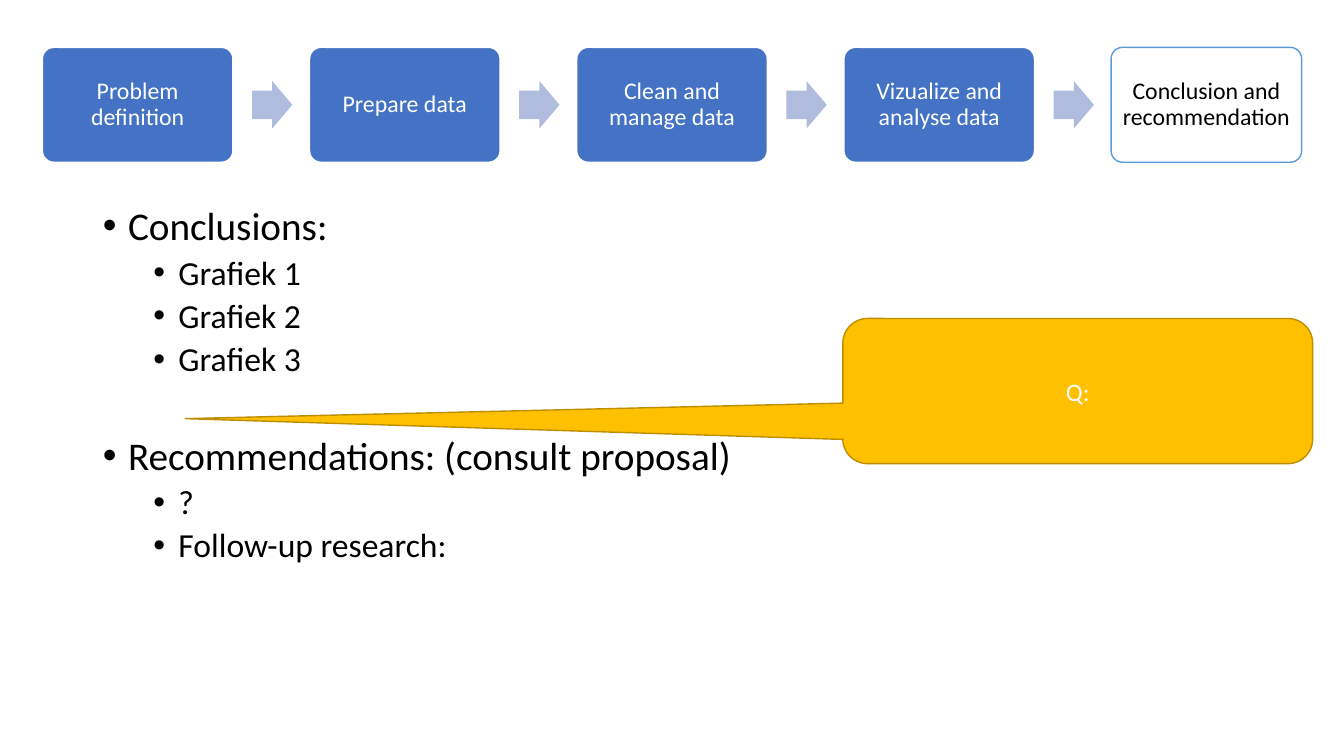
import pptx
import pptx.dml.color
import pptx.enum.shapes
import pptx.enum.text
import pptx.oxml.ns
import pptx.util
import lxml.etree

Inches = pptx.util.Inches
Pt = pptx.util.Pt
RGBColor = pptx.dml.color.RGBColor
SHAPES = pptx.enum.shapes.MSO_SHAPE

WHITE = RGBColor(0xFF, 0xFF, 0xFF)
BLACK = RGBColor(0, 0, 0)
STEP_BLUE = RGBColor(0x44, 0x72, 0xC4)
ARROW_BLUE = RGBColor(0xB0, 0xBC, 0xDE)
OUTLINE_BLUE = RGBColor(0x5B, 0x9B, 0xD5)
GOLD = RGBColor(0xFF, 0xC0, 0x00)
DARK_GOLD = RGBColor(0xBD, 0x8E, 0x00)

STEPS = [
    "Problem definition",
    "Prepare data",
    "Clean and manage data",
    "Vizualize and analyse data",
    "Conclusion and recommendation",
]
STEP_LEFT, STEP_TOP, STEP_WIDTH, STEP_HEIGHT, STEP_PITCH = 0.42, 0.47, 1.89, 1.14, 2.65
ARROW_OFFSET, ARROW_WIDTH, ARROW_HEIGHT = 2.08, 0.4, 0.47

FINDINGS = [
    (0, "Conclusions:", 10),
    (1, "Grafiek 1", 5),
    (1, "Grafiek 2", 5),
    (1, "Grafiek 3", 5),
    (0, "Recommendations: (consult proposal)", 41),
    (1, "?", 5),
    (1, "Follow-up research:", 5),
]


class SlideBuilder:
    font_name = "Calibri"
    line_spacing = 0.9
    level_sizes = (28, 24)
    level_indents = (0.25, 0.75)

    def __init__(self, slide):
        self.slide = slide

    def style(self, paragraph, size, color):
        paragraph.font.name = self.font_name
        paragraph.font.size = Pt(size)
        paragraph.font.color.rgb = color

    def shape(self, kind, box, adjustments, fill, line=None):
        shape = self.slide.shapes.add_shape(kind, *map(Inches, box))
        shape.shadow.inherit = False
        for index, value in enumerate(adjustments):
            shape.adjustments[index] = value
        shape.fill.solid()
        shape.fill.fore_color.rgb = fill
        if line is None:
            shape.line.fill.background()
        else:
            shape.line.color.rgb = line
            shape.line.width = Pt(1)
        return shape

    def label(self, shape, text, size, color, margin=0.1, spacing=1.0):
        frame = shape.text_frame
        frame.word_wrap = True
        frame.vertical_anchor = pptx.enum.text.MSO_ANCHOR.MIDDLE
        frame.margin_left = frame.margin_right = Inches(margin)
        paragraph = frame.paragraphs[0]
        paragraph.text = text
        paragraph.alignment = pptx.enum.text.PP_ALIGN.CENTER
        paragraph.line_spacing = spacing
        self.style(paragraph, size, color)

    def step(self, left, text, fill, line, color):
        box = (left, STEP_TOP, STEP_WIDTH, STEP_HEIGHT)
        shape = self.shape(SHAPES.ROUNDED_RECTANGLE, box, [0.1], fill, line)
        self.label(shape, text, 17, color, 0.07, self.line_spacing)

    def arrow(self, left):
        top = STEP_TOP + (STEP_HEIGHT - ARROW_HEIGHT) / 2
        box = (left, top, ARROW_WIDTH, ARROW_HEIGHT)
        self.shape(SHAPES.RIGHT_ARROW, box, [0.6, 0.5], ARROW_BLUE)

    def bullets(self, placeholder, box, items):
        placeholder.left, placeholder.top, placeholder.width, placeholder.height = map(Inches, box)
        frame = placeholder.text_frame
        frame.auto_size = pptx.enum.text.MSO_AUTO_SIZE.NONE
        for index, (level, text, space_before) in enumerate(items):
            paragraph = frame.add_paragraph() if index else frame.paragraphs[0]
            paragraph.text = text
            paragraph.level = level
            paragraph.line_spacing = self.line_spacing
            paragraph.space_before = Pt(space_before)
            self.style(paragraph, self.level_sizes[level], BLACK)
            self.bullet(paragraph, self.level_indents[level])

    def bullet(self, paragraph, indent):
        properties = paragraph._p.get_or_add_pPr()
        properties.set("marL", str(Inches(indent)))
        properties.set("indent", str(Inches(-0.25)))
        font = lxml.etree.Element(pptx.oxml.ns.qn("a:buFont"), typeface="Arial")
        mark = lxml.etree.Element(pptx.oxml.ns.qn("a:buChar"), char="•")
        defaults = properties.find(pptx.oxml.ns.qn("a:defRPr"))
        defaults.addprevious(font)
        defaults.addprevious(mark)


presentation = pptx.Presentation()
presentation.slide_width = Inches(13.33)
presentation.slide_height = Inches(7.5)
slide = presentation.slides.add_slide(presentation.slide_layouts[1])
title = slide.shapes.title
title.element.getparent().remove(title.element)
builder = SlideBuilder(slide)

for index, step_name in enumerate(STEPS):
    left = STEP_LEFT + index * STEP_PITCH
    if index < len(STEPS) - 1:
        builder.step(left, step_name, STEP_BLUE, WHITE, WHITE)
        builder.arrow(left + ARROW_OFFSET)
    else:
        builder.step(left, step_name, WHITE, OUTLINE_BLUE, BLACK)

builder.bullets(slide.placeholders[1], (0.92, 2, 11.5, 4.76), FINDINGS)

question = builder.shape(
    SHAPES.ROUNDED_RECTANGULAR_CALLOUT, (8.36, 3.16, 4.66, 1.44), [-1.9, 0.19, 0.17], GOLD, DARK_GOLD
)
builder.label(question, "Q:", 18, WHITE)

presentation.save("out.pptx")
